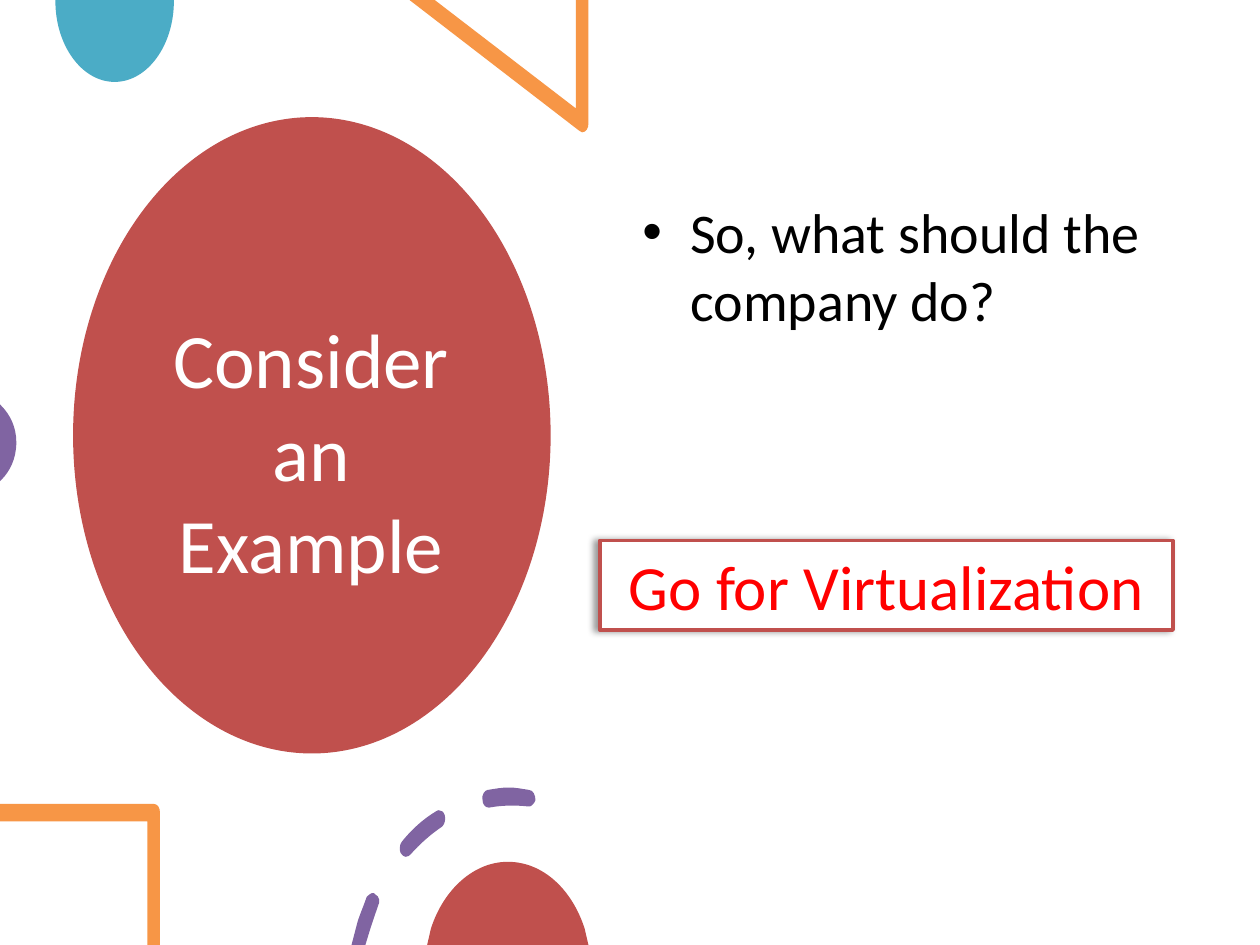
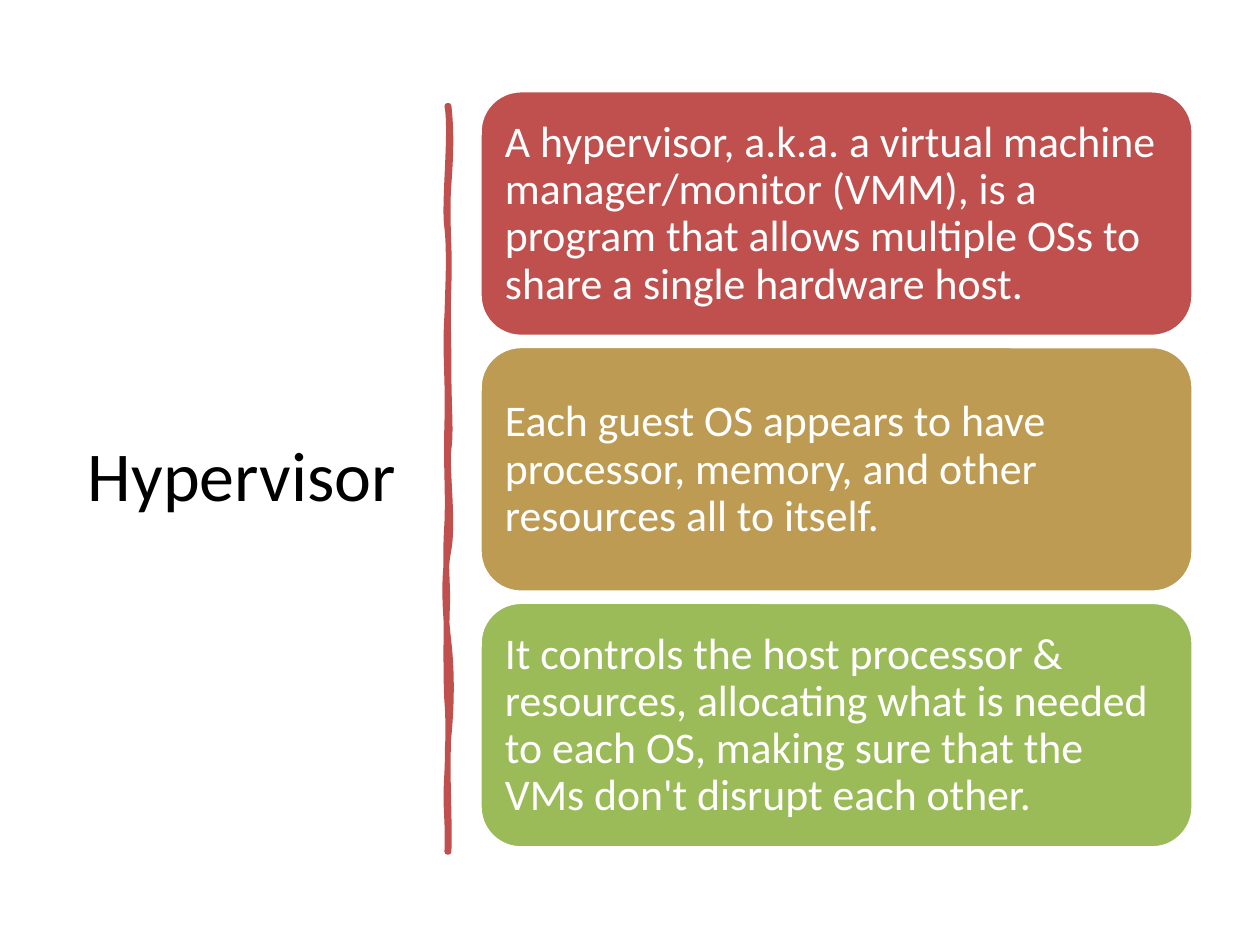
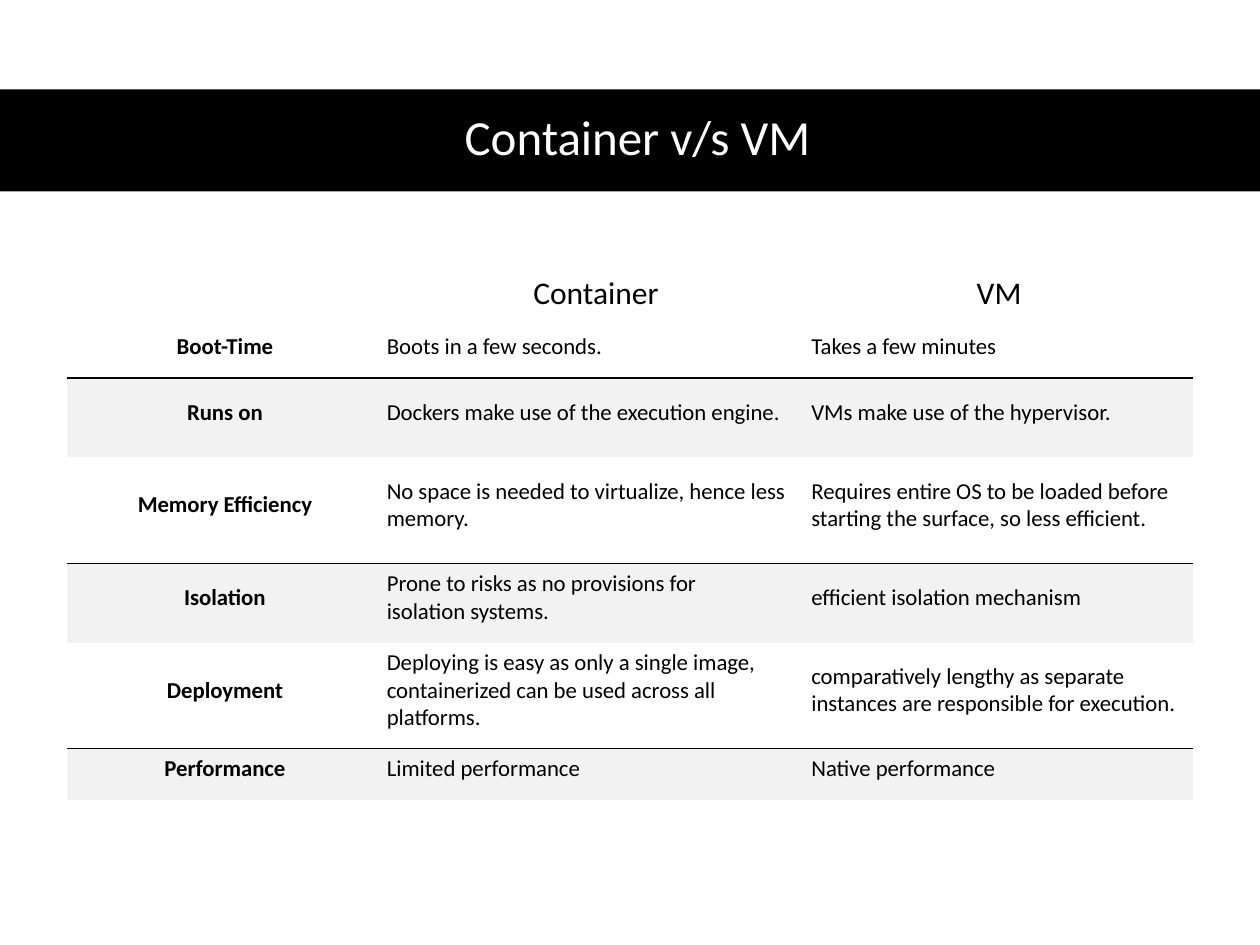
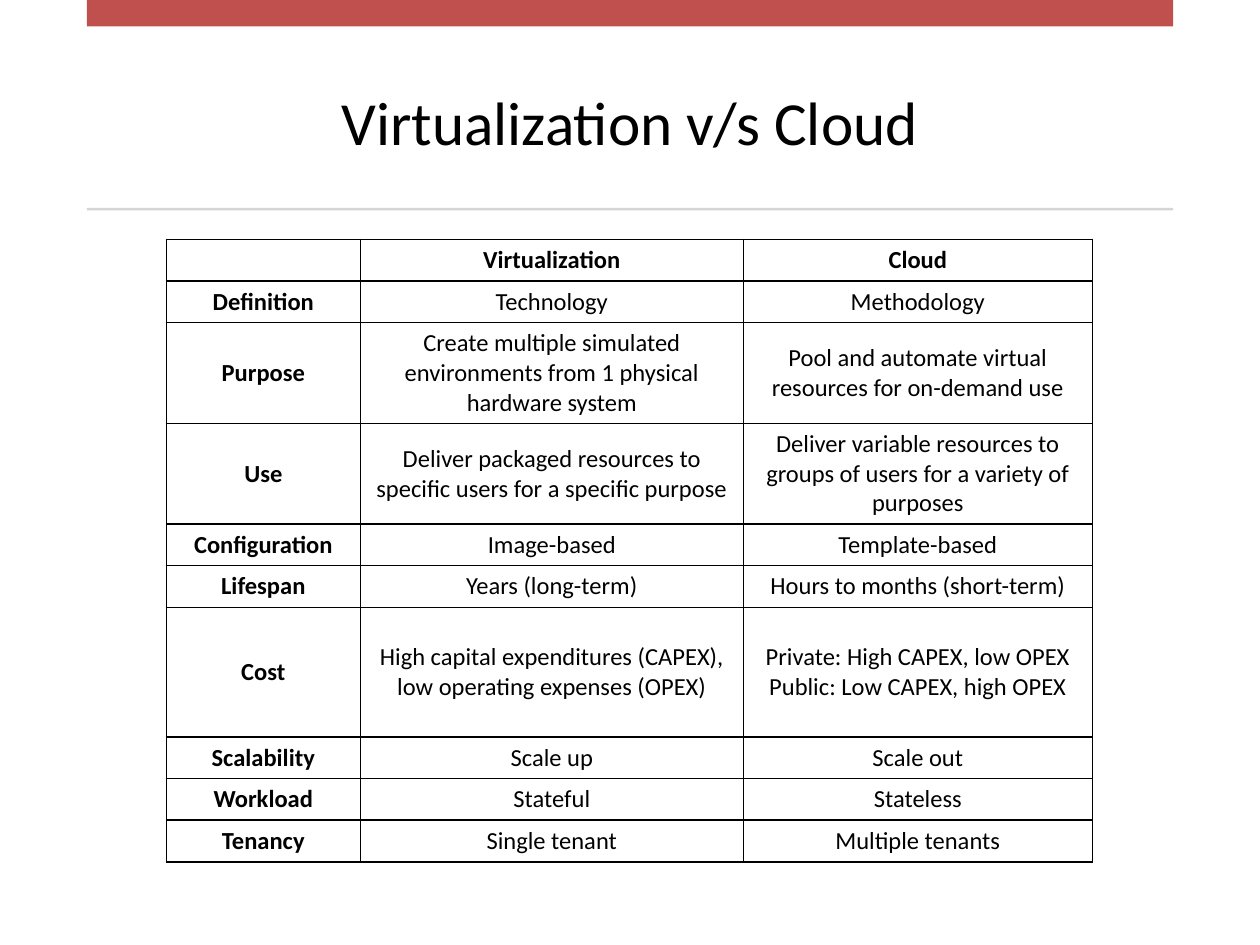
from lxml import etree
from pptx import Presentation
from pptx.dml.color import RGBColor
from pptx.enum.shapes import MSO_SHAPE
from pptx.enum.text import MSO_ANCHOR, PP_ALIGN
from pptx.oxml.ns import qn
from pptx.util import Inches, Pt

ELLIPSE = MSO_SHAPE.OVAL
RECT = MSO_SHAPE.RECTANGLE
ROUND_RECT = MSO_SHAPE.ROUNDED_RECTANGLE
LEFT, CENTER = PP_ALIGN.LEFT, PP_ALIGN.CENTER
TOP, MIDDLE, BOTTOM = MSO_ANCHOR.TOP, MSO_ANCHOR.MIDDLE, MSO_ANCHOR.BOTTOM

FONT = "Calibri"
NO_BREAK_SPACE = chr(160)
BLACK = RGBColor(0x00, 0x00, 0x00)
WHITE = RGBColor(0xFF, 0xFF, 0xFF)
BRICK = RGBColor(0xC0, 0x50, 0x4D)
OCHRE = RGBColor(0xBD, 0x9B, 0x53)
GREEN = RGBColor(0x9B, 0xBB, 0x59)
TEAL = RGBColor(0x4B, 0xAC, 0xC6)
ORANGE = RGBColor(0xF7, 0x96, 0x46)
PURPLE = RGBColor(0x80, 0x64, 0xA2)
RED = RGBColor(0xFF, 0x00, 0x00)
RULE_GREY = RGBColor(0xD5, 0xD5, 0xD5)
ROW_GREY = RGBColor(0xF2, 0xF2, 0xF2)

# Outlines in inches: a pair is a line end, six numbers are a Bezier curve.
TEAL_CAP = [[(1.38, 0), (0.44, 0), (0.44, 0.01),
             (0.44, 0.36, 0.65, 0.65, 0.91, 0.65),
             (1.17, 0.65, 1.38, 0.36, 1.38, 0.01)]]
TRIANGLE = [[(4.67, 0), (4.57, 0), (4.57, 0.86), (3.45, 0), (3.25, 0),
             (4.6, 1.04), (4.61, 1.05, 4.61, 1.05, 4.62, 1.05),
             (4.65, 1.05, 4.67, 1.02, 4.67, 0.98)]]
PURPLE_DOT = [[(0, 3.21), (0, 3.82), (0.01, 3.81),
               (0.08, 3.74, 0.13, 3.64, 0.13, 3.51),
               (0.13, 3.39, 0.08, 3.29, 0.01, 3.22)]]
SQUARE_CORNER = [[(1.22, 6.38), (0, 6.38), (0, 6.52), (1.17, 6.52),
                  (1.17, 7.5), (1.27, 7.5), (1.27, 6.45),
                  (1.27, 6.41, 1.25, 6.38, 1.22, 6.38)]]
DASHED_ARC = [
    [(2.97, 7.09), (2.95, 7.08, 2.93, 7.1, 2.91, 7.12),
     (2.89, 7.18, 2.86, 7.25, 2.84, 7.31), (2.79, 7.5), (2.9, 7.5),
     (2.94, 7.37), (2.96, 7.31, 2.98, 7.25, 3, 7.19),
     (3.02, 7.16, 3.01, 7.11, 2.98, 7.1)],
    [(3.48, 6.43), (3.47, 6.43, 3.47, 6.43, 3.46, 6.44),
     (3.36, 6.5, 3.27, 6.58, 3.19, 6.68),
     (3.17, 6.7, 3.17, 6.75, 3.18, 6.77), (3.19, 6.79, 3.21, 6.8, 3.22, 6.8),
     (3.24, 6.8, 3.25, 6.79, 3.26, 6.78), (3.33, 6.7, 3.42, 6.62, 3.51, 6.56),
     (3.53, 6.54, 3.54, 6.5, 3.53, 6.47), (3.52, 6.44, 3.5, 6.43, 3.48, 6.43)],
    [(4.04, 6.25), (3.98, 6.25, 3.93, 6.26, 3.87, 6.27),
     (3.85, 6.27, 3.82, 6.31, 3.83, 6.35), (3.83, 6.38, 3.85, 6.41, 3.88, 6.41),
     (3.99, 6.39, 4.09, 6.39, 4.19, 6.4), (4.21, 6.41, 4.24, 6.38, 4.25, 6.35),
     (4.25, 6.31, 4.23, 6.27, 4.2, 6.27), (4.14, 6.26, 4.09, 6.25, 4.04, 6.25)],
]
BRICK_CAP = [[(4.03, 6.84), (3.76, 6.84, 3.52, 7.06, 3.42, 7.37), (3.39, 7.5),
              (4.67, 7.5), (4.64, 7.37),
              (4.54, 7.06, 4.31, 6.84, 4.03, 6.84)]]
SKETCHED_RULE = [[
    (3.56, 0.84), (3.58, 1.02, 3.58, 1.19, 3.56, 1.46),
    (3.54, 1.73, 3.57, 1.95, 3.56, 2.26), (3.55, 2.57, 3.56, 2.62, 3.56, 2.94),
    (3.56, 3.25, 3.58, 3.42, 3.56, 3.56), (3.54, 3.7, 3.6, 4.14, 3.56, 4.36),
    (3.52, 4.57, 3.53, 4.84, 3.56, 5.1), (3.59, 5.36, 3.58, 5.64, 3.56, 5.84),
    (3.54, 6.03, 3.57, 6.5, 3.56, 6.76), (3.55, 6.76),
    (3.56, 6.46, 3.53, 6.44, 3.55, 6.13), (3.56, 5.83, 3.56, 5.7, 3.55, 5.57),
    (3.54, 5.44, 3.54, 4.95, 3.55, 4.77), (3.55, 4.59, 3.53, 4.45, 3.55, 4.15),
    (3.56, 3.86, 3.54, 3.73, 3.55, 3.35), (3.56, 2.98, 3.53, 2.81, 3.55, 2.5),
    (3.56, 2.18, 3.57, 2, 3.55, 1.81), (3.52, 1.63, 3.59, 1.04, 3.55, 0.84),
]]

HYPERVISOR_CARDS = [
    (BRICK, "A hypervisor, a.k.a. a virtual machine manager/monitor (VMM), is a "
            "program that allows multiple OSs to share a single hardware host."),
    (OCHRE, "Each guest OS appears to have processor, memory, and other "
            "resources all to itself."),
    (GREEN, "It controls the host processor & resources, allocating what is needed "
            "to each OS, making sure that the VMs don't disrupt each other."),
]

CONTAINER_ROWS = [
    ("", "Container", "VM"),
    ("Boot-Time", "Boots in a few seconds.", "Takes a few minutes"),
    ("Runs on", "Dockers make use of the execution engine.",
     "VMs make use of the hypervisor."),
    ("Memory Efficiency", "No space is needed to virtualize, hence less memory.",
     "Requires entire OS to be loaded before starting the surface, so less efficient."),
    ("Isolation",
     f"Prone to risks as no provisions for isolation{NO_BREAK_SPACE}systems.",
     "efficient isolation mechanism"),
    ("Deployment", "Deploying is easy as only a single image, containerized can be "
     "used across all platforms.",
     "comparatively lengthy as separate instances are responsible for execution."),
    ("Performance", "Limited performance", "Native performance"),
]

CLOUD_ROWS = [
    ("", "Virtualization", "Cloud"),
    ("Definition", "Technology", "Methodology"),
    ("Purpose", "Create multiple simulated environments from 1 physical hardware system",
     "Pool and automate virtual resources for on-demand use"),
    ("Use", "Deliver packaged resources to specific users for a specific purpose",
     "Deliver variable resources to groups of users for a variety of purposes"),
    ("Configuration", "Image-based", "Template-based"),
    ("Lifespan", "Years (long-term)", "Hours to months (short-term)"),
    ("Cost", "High capital expenditures (CAPEX), low operating expenses (OPEX)",
     "Private: High CAPEX, low OPEX\nPublic: Low CAPEX, high OPEX"),
    ("Scalability", "Scale up", "Scale out"),
    ("Workload", "Stateful", "Stateless"),
    ("Tenancy", "Single tenant", "Multiple tenants"),
]


def write(frame, text, size, color, align=LEFT, bold=False, spacing=None):
    """Fill the first paragraph of a frame; a newline becomes a line break."""
    paragraph = frame.paragraphs[0]
    paragraph.alignment = align
    if spacing:
        paragraph.line_spacing = spacing
    if not text:
        etree.SubElement(paragraph._p, qn("a:endParaRPr"), sz=str(size * 100))
        return
    for index, line in enumerate(text.split("\n")):
        if index:
            paragraph.add_line_break()
        run = paragraph.add_run()
        run.text = line
        run.font.name = FONT
        run.font.size = Pt(size)
        run.font.bold = bold
        run.font.color.rgb = color


def add_text(slide, box, text, size, color, align=CENTER, anchor=MIDDLE, spacing=None):
    frame = slide.shapes.add_textbox(*map(Inches, box)).text_frame
    frame.word_wrap = True
    frame.vertical_anchor = anchor
    write(frame, text, size, color, align, spacing=spacing)
    return frame


def paint(shape, fill, line=None, width=0):
    shape.shadow.inherit = False
    shape.fill.solid()
    shape.fill.fore_color.rgb = fill
    if line is None:
        shape.line.fill.background()
    else:
        shape.line.color.rgb = line
        shape.line.width = Pt(width)


def add_block(slide, kind, box, fill, line=None, width=0):
    block = slide.shapes.add_shape(kind, *map(Inches, box))
    paint(block, fill, line, width)
    return block


def segment_points(segment):
    lengths = [Inches(value) for value in segment]
    return list(zip(lengths[::2], lengths[1::2]))


def bend_curves(shape, segments):
    """Merge the three straight steps of each Bezier segment into one curve."""
    steps = iter(list(shape._element.iter(qn("a:lnTo"))))
    for segment in segments:
        first, *others = [next(steps) for _ in range(len(segment) // 2)]
        if others:
            first.tag = qn("a:cubicBezTo")
            for step in others:
                first.append(step[0])
                step.getparent().remove(step)


def add_outline(slide, outlines, fill, line=None, width=0):
    start = segment_points(outlines[0][0])[0]
    builder = slide.shapes.build_freeform(*start)
    for index, (origin, *segments) in enumerate(outlines):
        if index:
            builder.move_to(*segment_points(origin)[0])
        points = [point for segment in segments for point in segment_points(segment)]
        builder.add_line_segments(points, close=True)
    shape = builder.convert_to_shape()
    bend_curves(shape, [segment for outline in outlines for segment in outline[1:]])
    paint(shape, fill, line, width)


def add_bullet(paragraph, indent):
    properties = paragraph._p.get_or_add_pPr()
    properties.set("marL", str(Inches(indent)))
    properties.set("indent", str(-Inches(indent)))
    etree.SubElement(properties, qn("a:buFont")).set("typeface", "Arial")
    etree.SubElement(properties, qn("a:buChar")).set("char", "•")


def add_shadow(shape, blur, distance, degrees, opacity):
    effects = shape._element.spPr.find(qn("a:effectLst"))
    shadow = etree.SubElement(effects, qn("a:outerShdw"), blurRad=str(Pt(blur)),
                              dist=str(Pt(distance)), dir=str(degrees * 60000))
    color = etree.SubElement(shadow, qn("a:srgbClr"), val=str(BLACK))
    etree.SubElement(color, qn("a:alpha"), val=str(opacity * 1000))


def set_borders(cell, sides, width):
    """Draw black borders on the sides named in a string such as "LRTB"."""
    properties = cell._tc.get_or_add_tcPr()
    for side in "LRTB":
        border = etree.SubElement(properties, qn("a:ln" + side))
        if side in sides:
            border.set("w", str(Pt(width)))
            solid = etree.SubElement(border, qn("a:solidFill"))
            etree.SubElement(solid, qn("a:srgbClr"), val=str(BLACK))
        else:
            etree.SubElement(border, qn("a:noFill"))


def add_grid(slide, left, top, widths, heights, rows, style_cell):
    """Add a table; style_cell(cell, text, row, column) fills each cell."""
    table = slide.shapes.add_table(
        len(rows), len(widths), Inches(left), Inches(top),
        Inches(sum(widths)), Inches(sum(heights))).table
    table.first_row = table.horz_banding = False
    for column, width in zip(table.columns, widths):
        column.width = Inches(width)
    for row, height in zip(table.rows, heights):
        row.height = Inches(height)
    for r, texts in enumerate(rows):
        for c, text in enumerate(texts):
            style_cell(table.cell(r, c), text, r, c)


def set_cell(cell, insets, fill, anchor=MIDDLE):
    (cell.margin_left, cell.margin_top,
     cell.margin_right, cell.margin_bottom) = map(Inches, insets)
    cell.vertical_anchor = anchor
    cell.fill.solid()
    cell.fill.fore_color.rgb = fill


def style_container_cell(cell, text, row, column):
    header, label, shaded = row == 0, column == 0, row > 0 and row % 2 == 0
    set_borders(cell, "" if header else "T" if shaded else "B", 0.75)
    set_cell(cell, (0, 0.02, 0.05, 0.11) if header else (0, 0.03, 0.03, 0.11),
             ROW_GREY if shaded else WHITE, BOTTOM if header else MIDDLE)
    write(cell.text_frame, text, 18 if header else 13, BLACK,
          CENTER if header or label else LEFT, bold=label)


def style_cloud_cell(cell, text, row, column):
    set_borders(cell, "LRTB", 1)
    set_cell(cell, (0.07, 0.03, 0.07, 0.03), WHITE)
    write(cell.text_frame, text, 14, BLACK, CENTER, bold=row == 0 or column == 0)


def build_example(slide):
    add_block(slide, ELLIPSE, (0.58, 0.93, 3.79, 5.05), BRICK)
    add_text(slide, (1.14, 1.35, 2.66, 4.45), "Consider an Example", 44, WHITE)
    for outlines, color in ((TEAL_CAP, TEAL), (TRIANGLE, ORANGE),
                            (PURPLE_DOT, PURPLE), (SQUARE_CORNER, ORANGE),
                            (DASHED_ARC, PURPLE), (BRICK_CAP, BRICK)):
        add_outline(slide, outlines, color)
    question = add_text(slide, (5, 0.9, 4.31, 5.35), "So, what should the company do?",
                        32, BLACK, LEFT, TOP)
    question.margin_top = Inches(0.67)
    add_bullet(question.paragraphs[0], 0.38)
    answer = add_block(slide, RECT, (4.76, 4.29, 4.55, 0.71), WHITE, BRICK, 2)
    add_shadow(answer, blur=4, distance=3, degrees=180, opacity=40)
    answer.text_frame.word_wrap = True
    write(answer.text_frame, "Go for Virtualization", 36, RED, CENTER)


def build_hypervisor(slide):
    add_text(slide, (0.52, 0.7, 2.8, 6.11), "Hypervisor", 40, BLACK)
    add_outline(slide, SKETCHED_RULE, BRICK, BRICK, 3.25)
    for index, (color, text) in enumerate(HYPERVISOR_CARDS):
        top = 0.72 + 2.03 * index
        add_block(slide, ROUND_RECT, (3.81, top, 5.66, 1.95), color, WHITE, 2)
        frame = add_text(slide, (3.91, top + 0.1, 5.47, 1.76), text, 25, WHITE,
                         LEFT, spacing=0.9)
        frame.margin_top = frame.margin_bottom = Inches(0.1)


def build_container_comparison(slide):
    add_block(slide, RECT, (0, 0.71, 10, 0.81), BLACK)
    add_text(slide, (0.46, 0.7, 9.2, 0.81), "Container v/s VM", 28, WHITE, spacing=0.9)
    add_grid(slide, 0.53, 2.12, (2.54, 3.37, 3.03),
             (0.47, 0.41, 0.63, 0.84, 0.63, 0.84, 0.41),
             CONTAINER_ROWS, style_container_cell)


def build_cloud_comparison(slide):
    add_text(slide, (0.69, 0.37, 8.62, 1.18), "Virtualization v/s Cloud", 35, BLACK)
    add_block(slide, RECT, (0.69, 0, 8.62, 0.21), BRICK)
    add_block(slide, RECT, (0.69, 1.65, 8.62, 0.02), RULE_GREY)
    add_grid(slide, 1.32, 1.9, (1.54, 3.04, 2.77),
             (0.33, 0.33, 0.8, 0.8, 0.33, 0.33, 1.03, 0.33, 0.33, 0.33),
             CLOUD_ROWS, style_cloud_cell)


def main():
    deck = Presentation()
    deck.slide_width, deck.slide_height = Inches(10), Inches(7.5)
    blank = deck.slide_layouts[6]
    for build in (build_example, build_hypervisor,
                  build_container_comparison, build_cloud_comparison):
        build(deck.slides.add_slide(blank))
    deck.save("out.pptx")


if __name__ == "__main__":
    main()
